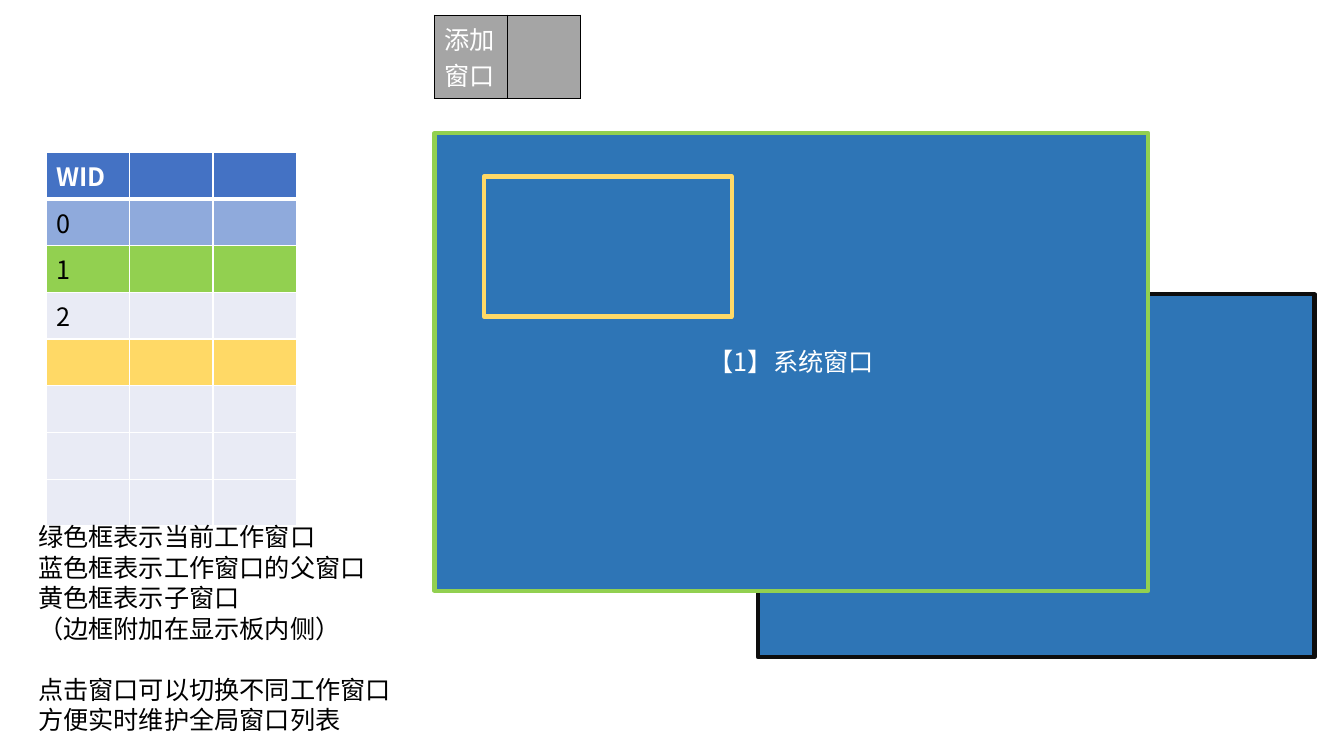
import pptx
import pptx.dml.color
import pptx.enum.shapes
import pptx.enum.text
import pptx.oxml
import pptx.oxml.ns
import pptx.util

RGBColor = pptx.dml.color.RGBColor
WHITE = RGBColor(0xFF, 0xFF, 0xFF)
BLACK = RGBColor(0x00, 0x00, 0x00)
NEAR_BLACK = RGBColor(0x0D, 0x0D, 0x0D)
GREY = RGBColor(0xA5, 0xA5, 0xA5)
HEADER_BLUE = RGBColor(0x44, 0x72, 0xC4)
PARENT_BLUE = RGBColor(0x8F, 0xAA, 0xDC)
WINDOW_BLUE = RGBColor(0x2E, 0x75, 0xB6)
PALE_BLUE = RGBColor(0xE9, 0xEB, 0xF5)
GREEN = RGBColor(0x92, 0xD0, 0x50)
YELLOW = RGBColor(0xFF, 0xD9, 0x66)

FONT = "Noto Sans CJK SC"
GRID = pptx.util.Inches(0.1)
LINE_PITCH = 21.8

WINDOW_ROWS = [
    ("WID", HEADER_BLUE),
    ("0", PARENT_BLUE),
    ("1", GREEN),
    ("2", PALE_BLUE),
    ("", YELLOW),
    ("", PALE_BLUE),
    ("", PALE_BLUE),
    ("", PALE_BLUE),
]
LEGEND = [
    "绿色框表示当前工作窗口",
    "蓝色框表示工作窗口的父窗口",
    "黄色框表示子窗口",
    "（边框附加在显示板内侧）",
]
USAGE = ["点击窗口可以切换不同工作窗口", "方便实时维护全局窗口列表"]


def cells(*counts):
    """Turn counts of grid cells into lengths."""
    return [round(count * GRID) for count in counts]


def write(paragraph, text, color=BLACK, size=18, bold=False, align=None, pitch=None, before=None):
    """Write formatted text into a paragraph."""
    paragraph.alignment = align
    if pitch:
        paragraph.line_spacing = pptx.util.Pt(pitch)
    if before:
        paragraph.space_before = pptx.util.Pt(before)
    run = paragraph.add_run()
    run.text = text
    run.font.size = pptx.util.Pt(size)
    run.font.bold = bold
    run.font.color.rgb = color
    run.font.name = FONT
    east_asian = pptx.oxml.parse_xml(
        f'<a:ea {pptx.oxml.ns.nsdecls("a")} typeface="{FONT}"/>')
    run.font._element.append(east_asian)


def add_grid_table(slide, place, row_count, column_count):
    """Add a table with equal columns and rows."""
    return slide.shapes.add_table(row_count, column_count, *cells(*place)).table


def format_cell(cell, fill, border, top=1, bottom=1):
    """Give a cell its borders and fill."""
    properties = cell._tc.get_or_add_tcPr()
    for side, width in (("L", 1), ("R", 1), ("T", top), ("B", bottom)):
        properties.append(pptx.oxml.parse_xml(
            f'<a:ln{side} {pptx.oxml.ns.nsdecls("a")} w="{pptx.util.Pt(width)}">'
            f'<a:solidFill><a:srgbClr val="{border}"/></a:solidFill></a:ln{side}>'))
    cell.fill.solid()
    cell.fill.fore_color.rgb = fill


def add_toolbar(slide):
    """Add the two-button toolbar."""
    table = add_grid_table(slide, (43.1, 1.5, 14.5, 8.3), 1, 2)
    for cell in table.iter_cells():
        format_cell(cell, GREY, BLACK)
    write(table.cell(0, 0).text_frame.paragraphs[0], "添加窗口", color=WHITE)


def add_window_list(slide):
    """Add the list of window numbers, coloured by role."""
    table = add_grid_table(slide, (4.6, 15.1, 24.8, 37.1), len(WINDOW_ROWS), 3)
    for index, (label, fill) in enumerate(WINDOW_ROWS):
        header = index == 0
        for cell in table.rows[index].cells:
            format_cell(cell, fill, WHITE, top=3 if index == 1 else 1, bottom=3 if header else 1)
        if label:
            write(table.cell(index, 0).text_frame.paragraphs[0], label,
                  color=WHITE if header else BLACK, bold=header)


def add_window(shapes, place, border, title=None):
    """Add a window rectangle with a coloured border."""
    shape = shapes.add_shape(pptx.enum.shapes.MSO_SHAPE.RECTANGLE, *cells(*place))
    shape.shadow.inherit = False
    shape.fill.solid()
    shape.fill.fore_color.rgb = WINDOW_BLUE
    shape.line.color.rgb = border
    shape.line.width = pptx.util.Pt(3)
    if title:
        shape.text_frame.vertical_anchor = pptx.enum.text.MSO_ANCHOR.MIDDLE
        write(shape.text_frame.paragraphs[0], title, color=WHITE,
              align=pptx.enum.text.PP_ALIGN.CENTER)


def add_legend(slide):
    """Add the notes on border colours and use."""
    frame = slide.shapes.add_textbox(*cells(2.8, 51.2, 40.3, 22.2)).text_frame
    frame.word_wrap = True
    for index, line in enumerate(LEGEND + USAGE):
        paragraph = frame.add_paragraph() if index else frame.paragraphs[0]
        write(paragraph, line, pitch=LINE_PITCH,
              before=LINE_PITCH if index == len(LEGEND) else None)


def main():
    """Build and save the slide."""
    presentation = pptx.Presentation()
    presentation.slide_width, presentation.slide_height = cells(133.33, 75)
    slide = presentation.slides.add_slide(presentation.slide_layouts[6])
    add_toolbar(slide)
    add_window_list(slide)
    add_window(slide.shapes, (75.2, 29.2, 55.2, 36), NEAR_BLACK)
    add_legend(slide)
    active_window = slide.shapes.add_group_shape()
    add_window(active_window.shapes, (43.1, 13.2, 70.8, 45.4), GREEN, "【1】系统窗口")
    add_window(active_window.shapes, (48, 17.5, 24.6, 13.9), YELLOW)
    presentation.save("out.pptx")


if __name__ == "__main__":
    main()
